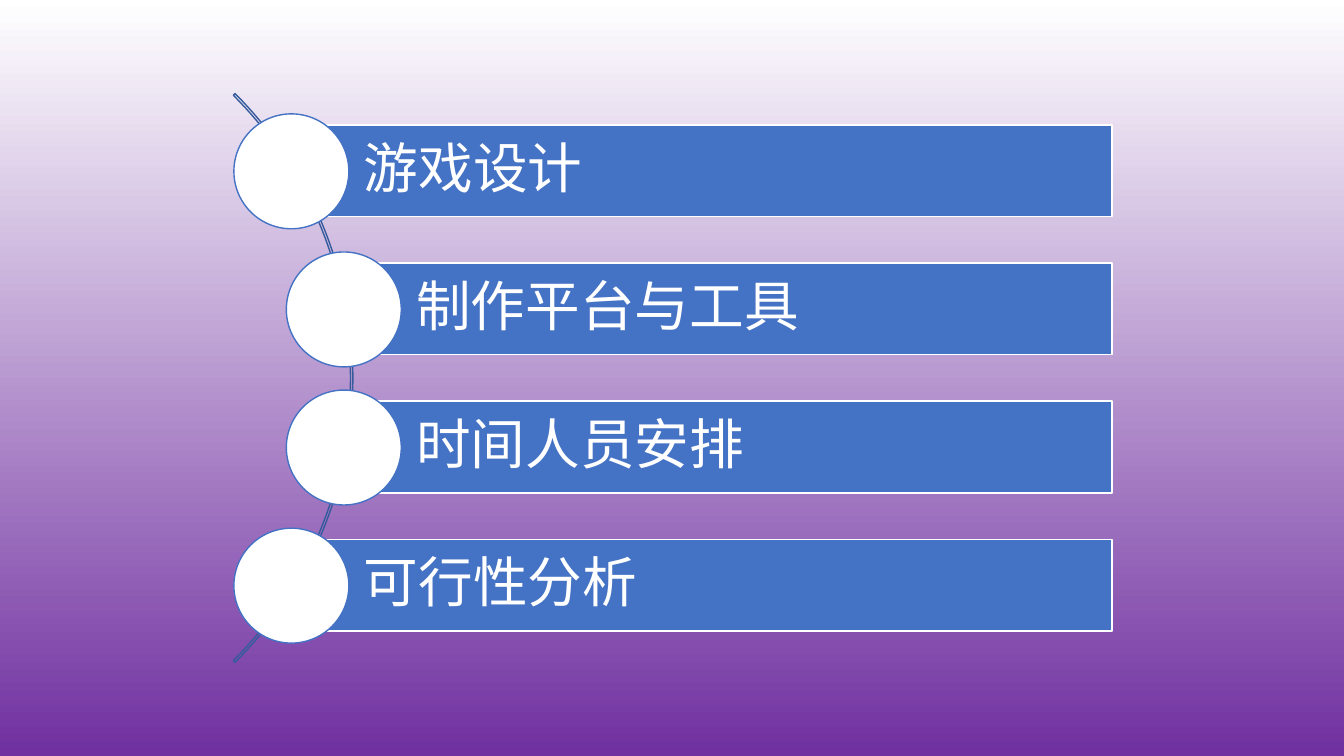
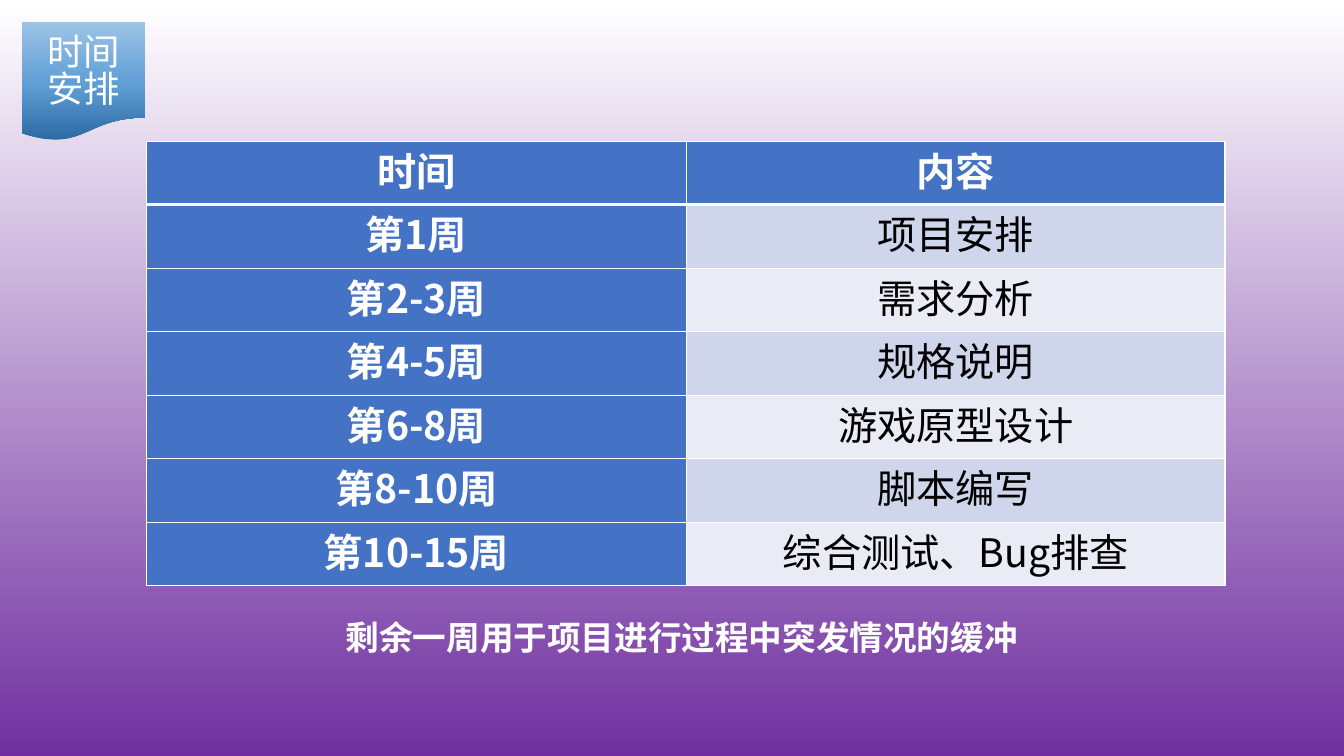
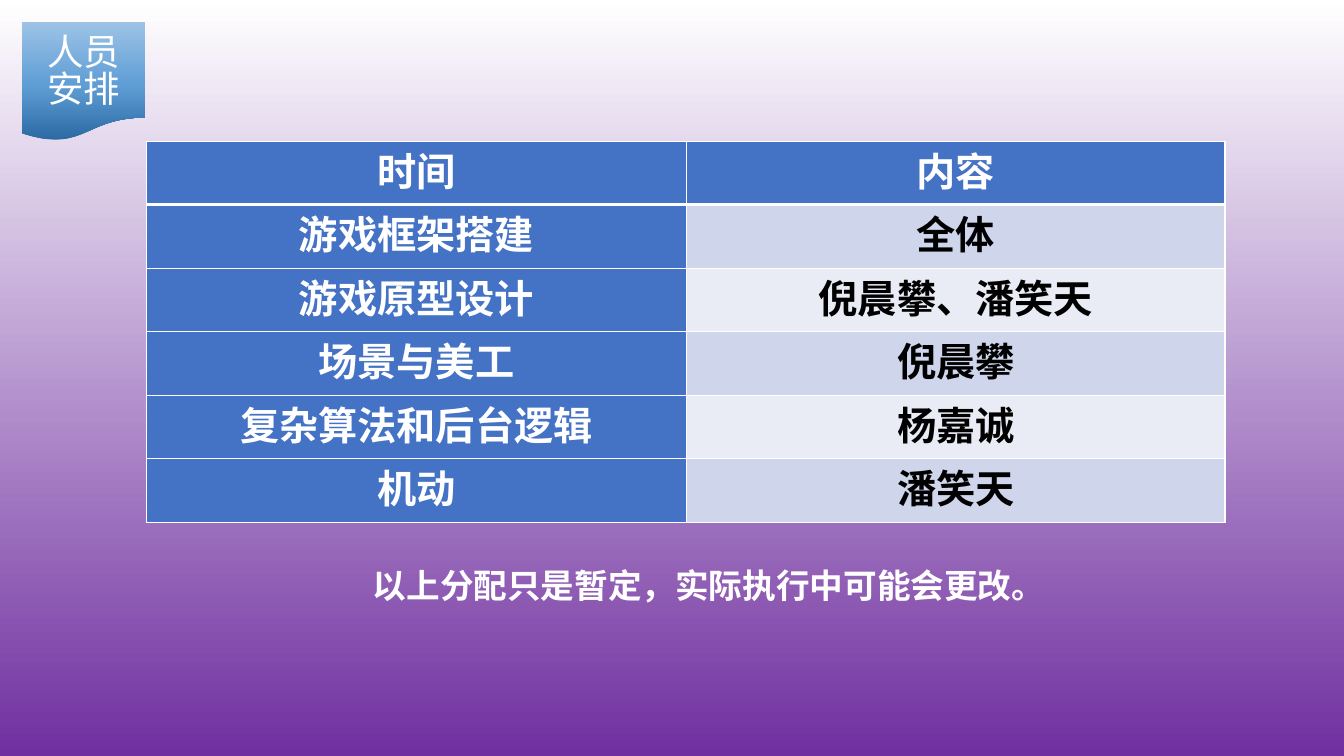
import copy

import pptx
import pptx.dml.color
import pptx.enum.lang
import pptx.enum.shapes
import pptx.enum.text
import pptx.oxml
import pptx.oxml.ns
import pptx.util

Inches = pptx.util.Inches
Pt = pptx.util.Pt
RGBColor = pptx.dml.color.RGBColor
SHAPE = pptx.enum.shapes.MSO_SHAPE
ALIGN = pptx.enum.text.PP_ALIGN
ANCHOR = pptx.enum.text.MSO_ANCHOR
FIT = pptx.enum.text.MSO_AUTO_SIZE
CHINESE = pptx.enum.lang.MSO_LANGUAGE_ID.SIMPLIFIED_CHINESE
qn = pptx.oxml.ns.qn

FONT = "Noto Sans CJK SC"
WHITE = RGBColor(0xFF, 0xFF, 0xFF)
BLACK = RGBColor(0, 0, 0)
BLUE = RGBColor(0x44, 0x72, 0xC4)
NAVY = RGBColor(0x36, 0x5B, 0x9D)
PURPLE = RGBColor(0x70, 0x30, 0xA0)
BANDS = (RGBColor(0xCF, 0xD5, 0xEA), RGBColor(0xE9, 0xEB, 0xF5))
PAGE = ((0, WHITE), (1, PURPLE))
FLAG = ((0, RGBColor(0x2A, 0x69, 0xA2)),
        (0.48, RGBColor(0x60, 0x9E, 0xD6)),
        (1, RGBColor(0x9D, 0xC3, 0xE6)))


def put(frame, text, size=28, color=WHITE, bold=False,
        align=ALIGN.LEFT, space=None):
    """Write one formatted paragraph into a text frame."""
    para = frame.paragraphs[0]
    para.alignment = align
    if space:
        para.line_spacing = space
    run = para.add_run()
    run.text = text
    font = run.font
    font.name, font.size, font.bold = FONT, Pt(size), bold
    font.color.rgb = color
    font.language_id = CHINESE
    east = pptx.oxml.ns.nsdecls("a")
    font._element.find(qn("a:latin")).addnext(
        pptx.oxml.parse_xml(f'<a:ea {east} typeface="{FONT}"/>'))


def blend(fill, node, stops, angle):
    """Fill with a linear gradient of any number of stops."""
    fill.gradient()
    fill.gradient_angle = angle
    marks = next(node.iter(qn("a:gsLst")))
    while len(marks) < len(stops):
        marks.append(copy.deepcopy(marks[0]))
    for stop, (place, color) in zip(fill.gradient_stops, stops):
        stop.position = place
        stop.color.rgb = color


def edge(cell, top=1, bottom=1):
    """Draw white borders round a table cell."""
    props = cell._tc.get_or_add_tcPr()
    for side, width in (("L", 1), ("R", 1), ("T", top), ("B", bottom)):
        props.append(pptx.oxml.parse_xml(
            f'<a:ln{side} {pptx.oxml.ns.nsdecls("a")} w="{Pt(width)}">'
            f'<a:solidFill><a:srgbClr val="{WHITE}"/></a:solidFill>'
            f'</a:ln{side}>'))


class Deck:
    def __init__(self):
        self.show = pptx.Presentation()
        self.show.slide_width = Inches(13.33)
        self.show.slide_height = Inches(7.5)
        master = self.show.slide_master
        blend(master.background.fill, master.element, PAGE, 270)
        self.slide = None

    def start(self, layout):
        layouts = self.show.slide_layouts
        self.slide = self.show.slides.add_slide(
            layouts.get_by_name(layout))

    def shape(self, kind, left, top, width, height, fill=None, line=None):
        shape = self.slide.shapes.add_shape(
            kind, Inches(left), Inches(top), Inches(width), Inches(height))
        shape.shadow.inherit = False
        if fill is None:
            shape.fill.background()
        else:
            shape.fill.solid()
            shape.fill.fore_color.rgb = fill
        if line is None:
            shape.line.fill.background()
        else:
            shape.line.color.rgb = line
            shape.line.width = Pt(1)
        return shape

    def bar(self, text, left, top):
        """Blue bar with a white disc over its left end."""
        bar = self.shape(SHAPE.RECTANGLE, left, top, 11.03 - left, 0.91,
                         BLUE, WHITE)
        frame = bar.text_frame
        frame.margin_left = Inches(0.72)
        frame.margin_top = frame.margin_bottom = Inches(0.11)
        frame.margin_right = Inches(0.11)
        frame.vertical_anchor = ANCHOR.MIDDLE
        put(frame, text, size=39, space=0.9)
        self.shape(SHAPE.OVAL, left - 0.57, top - 0.11, 1.14, 1.14,
                   WHITE, BLUE)

    def title(self, text):
        """Title on a flag in the top left corner."""
        flag = self.shape(SHAPE.FLOWCHART_DOCUMENT, 0.22, 0.22, 1.22, 1.18)
        blend(flag.fill, flag.element, FLAG, 90)
        title = self.slide.shapes.title
        title.left, title.top = Inches(0.22), Inches(0.25)
        title.width, title.height = Inches(1.22), Inches(0.95)
        frame = title.text_frame
        frame.auto_size = FIT.NONE
        frame.word_wrap = True
        frame.vertical_anchor = ANCHOR.MIDDLE
        put(frame, text, size=26, align=ALIGN.CENTER, space=0.83)
        flag.element.addnext(title.element)

    def table(self, rows, bold):
        """Table with a blue header row and a blue first column."""
        high = 0.63
        table = self.slide.shapes.add_table(
            len(rows), 2, Inches(1.45), Inches(1.4),
            Inches(10.7), Inches(high * len(rows))).table
        for col, width in zip(table.columns, (5.36, 5.34)):
            col.width = Inches(width)
        for y, row in enumerate(rows):
            table.rows[y].height = Inches(high)
            for x, text in enumerate(row):
                cell = table.cell(y, x)
                head = y == 0 or x == 0
                edge(cell, top=3 if y == 1 else 1, bottom=3 if y == 0 else 1)
                cell.fill.solid()
                cell.fill.fore_color.rgb = BLUE if head else BANDS[(y - 1) % 2]
                cell.margin_left = cell.margin_right = Inches(0.18)
                cell.margin_top = cell.margin_bottom = 0
                put(cell.text_frame, text, color=WHITE if head else BLACK,
                    bold=head or bold, align=ALIGN.CENTER)

    def note(self, text, left, top):
        box = self.slide.shapes.add_textbox(
            Inches(left), Inches(top), Inches(6.93), Inches(0.5))
        box.text_frame.word_wrap = False
        box.text_frame.auto_size = FIT.SHAPE_TO_FIT_TEXT
        put(box.text_frame, text, size=24, bold=True)


def main():
    deck = Deck()

    # Agenda along an arc
    deck.start("Blank")
    arc = deck.shape(SHAPE.BLOCK_ARC, -4.48, -0.24, 7.98, 7.98, line=NAVY)
    for i, value in enumerate((189, 27, 0.003)):
        arc.adjustments[i] = value
    topics = ("游戏设计", "制作平台与工具", "时间人员安排", "可行性分析")
    for i, topic in enumerate(topics):
        deck.bar(topic, 3.41 if i in (1, 2) else 2.89, 1.24 + 1.37 * i)

    # Schedule
    header = ("时间", "内容")
    deck.start("Title Only")
    deck.title("时间安排")
    deck.table((header,
                ("第1周", "项目安排"),
                ("第2-3周", "需求分析"),
                ("第4-5周", "规格说明"),
                ("第6-8周", "游戏原型设计"),
                ("第8-10周", "脚本编写"),
                ("第10-15周", "综合测试、Bug排查")), bold=False)
    deck.note("剩余一周用于项目进行过程中突发情况的缓冲", 3.33, 6.07)

    # Staffing
    deck.start("Title Only")
    deck.title("人员安排")
    deck.table((header,
                ("游戏框架搭建", "全体"),
                ("游戏原型设计", "倪晨攀、潘笑天"),
                ("场景与美工", "倪晨攀"),
                ("复杂算法和后台逻辑", "杨嘉诚"),
                ("机动", "潘笑天")), bold=True)
    deck.note("以上分配只是暂定，实际执行中可能会更改。", 3.6, 5.56)

    deck.show.save("out.pptx")


if __name__ == "__main__":
    main()
